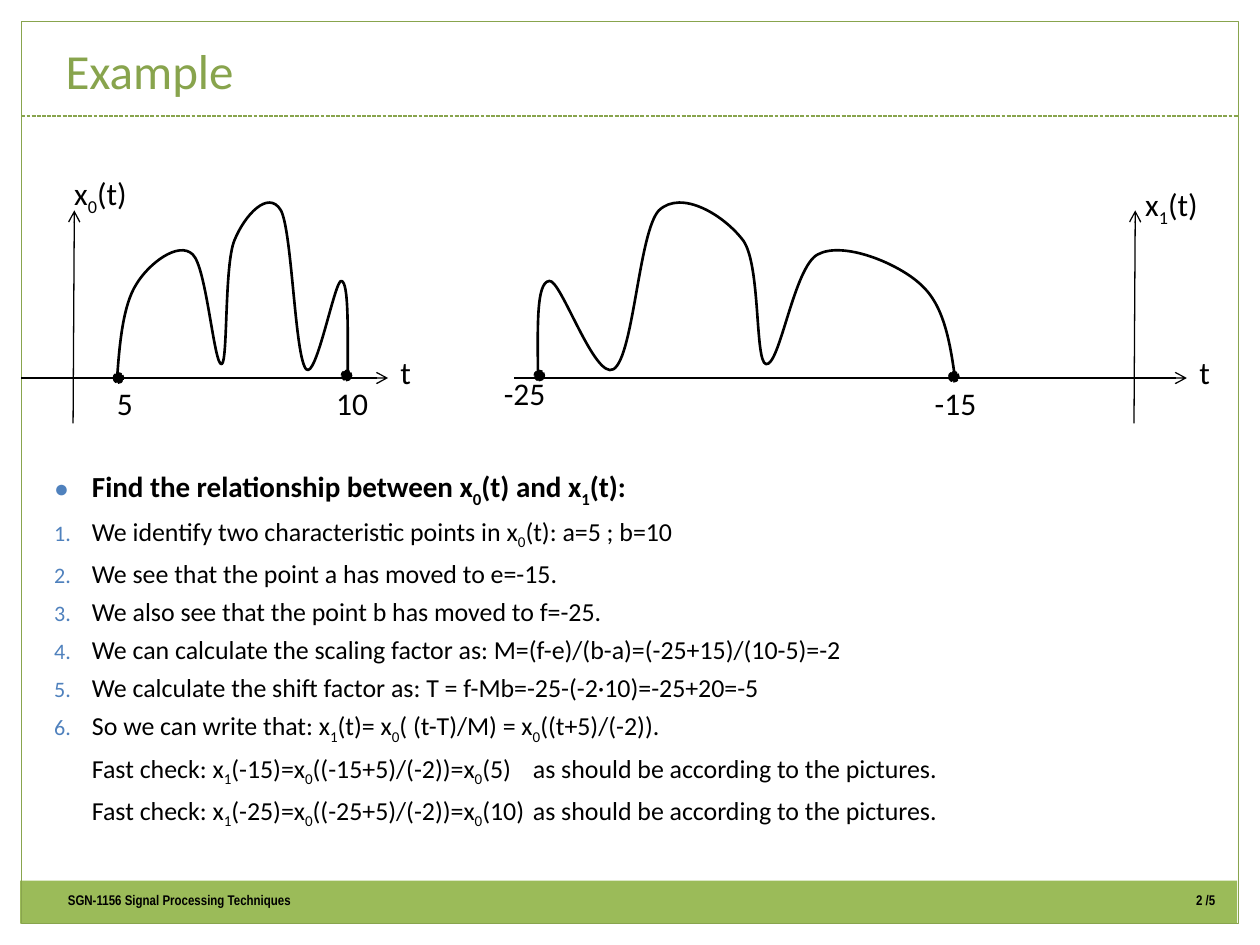
from dataclasses import dataclass

import pptx
import pptx.dml.color
import pptx.enum.dml
import pptx.enum.shapes
import pptx.enum.text
import pptx.oxml.ns
import pptx.util
from lxml import etree

EMU_PER_PX = 9144  # 100 px to the inch
PP_ALIGN = pptx.enum.text.PP_ALIGN
ANCHOR = pptx.enum.text.MSO_ANCHOR
AUTO_SIZE = pptx.enum.text.MSO_AUTO_SIZE
SHAPE = pptx.enum.shapes.MSO_SHAPE
DASH = pptx.enum.dml.MSO_LINE


@dataclass(frozen=True)
class Theme:
    ink: str = "000000"
    green: str = "88A44D"
    band: str = "9BBB59"
    bullet: str = "4F81BD"
    font: str = "Calibri"
    footer_font: str = "Arial Narrow"
    title_size: float = 28
    label_size: float = 18
    lead_size: float = 16.6
    step_size: float = 14.8
    footer_size: float = 8


THEME = Theme()


@dataclass(frozen=True)
class Label:
    text: str
    left: int
    top: int
    width: int
    height: int = 40


@dataclass(frozen=True)
class Plot:
    axis_start: int
    axis_end: int
    origin: int
    curve_start: int
    curve_end: int
    dots: tuple[tuple[int, int], ...]
    labels: tuple[Label, ...]


@dataclass(frozen=True)
class Point:
    text: str
    marker: str = "number"


AXIS_Y = 300
# Start point of the signal, then three control points for each cubic segment.
SIGNAL = [
    (93, 300), (95, 271), (98, 242), (108, 226), (118, 209), (142, 191), (153, 202),
    (164, 212), (170, 291), (176, 289), (181, 287), (178, 211), (186, 191),
    (194, 171), (213, 150), (223, 167), (232, 184), (234, 283), (243, 293),
    (251, 302), (266, 221), (271, 223), (277, 224), (276, 263), (276, 302),
]
PLOTS = [
    Plot(17, 308, 58, 93, 276, ((94, 300), (275, 298)), (
        Label("x_0(t)", 49, 133, 65, 44), Label("5", 83, 300, 34),
        Label("10", 257, 300, 48), Label("t", 308, 275, 29))),
    Plot(408, 942, 900, 758, 427, ((757, 299), (428, 298)), (
        Label("x_1(t)", 899, 142, 65, 44), Label("-15", 732, 300, 56),
        Label("-25", 390, 292, 56), Label("t", 942, 275, 29))),
]
POINTS = [
    Point("Find the relationship between x_0(t) and x_1(t):", "dot"),
    Point("We identify two characteristic points in x_0(t): a=5 ; b=10"),
    Point("We see that the point a has moved to e=-15."),
    Point("We also see that the point b has moved to f=-25."),
    Point("We can calculate the scaling factor as: M=(f-e)/(b-a)=(-25+15)/(10-5)=-2"),
    Point("We calculate the shift factor as: T = f-Mb=-25-(-2·10)=-25+20=-5"),
    Point("So we can write that: x_1(t)= x_0( (t-T)/M) = x_0((t+5)/(-2))."),
    Point("Fast check: x_1(-15)=x_0((-15+5)/(-2))=x_0(5)\tas should be according to the pictures.", ""),
    Point("Fast check: x_1(-25)=x_0((-25+5)/(-2))=x_0(10)\tas should be according to the pictures.", ""),
]


def px(length: float) -> int:
    return round(length * EMU_PER_PX)


def rgb(color: str):
    return pptx.dml.color.RGBColor.from_string(color)


def add_xml(parent, tag: str, **attributes: str):
    return etree.SubElement(parent, pptx.oxml.ns.qn(tag), attributes)


def move(shape, left: int, top: int, width: int, height: int) -> None:
    shape.left, shape.top, shape.width, shape.height = map(px, (left, top, width, height))


def write(paragraph, text: str, size: float, color: str = THEME.ink,
          font: str = THEME.font, bold: bool = False) -> None:
    """Fill a paragraph; the character after each underscore becomes a subscript."""
    paragraph.font.size = pptx.util.Pt(size)
    paragraph.font.name = font
    paragraph.font.bold = bold
    paragraph.font.color.rgb = rgb(color)
    head, *rest = text.split("_")
    paragraph.add_run().text = head
    for piece in rest:
        subscript = paragraph.add_run()
        subscript.text = piece[0]
        subscript.font._element.set("baseline", "-25000")
        paragraph.add_run().text = piece[1:]


def style_line(line, color: str, width: float, dash=None) -> None:
    line.color.rgb = rgb(color)
    line.width = pptx.util.Pt(width)
    if dash is not None:
        line.dash_style = dash


def add_line(slide, start: tuple[int, int], end: tuple[int, int], color: str,
             dash=None, arrow: bool = False) -> None:
    line = slide.shapes.add_connector(
        pptx.enum.shapes.MSO_CONNECTOR.STRAIGHT, *map(px, (*start, *end)))
    style_line(line.line, color, 0.75, dash)
    if arrow:
        add_xml(line.line._get_or_add_ln(), "a:tailEnd", type="arrow")
    add_xml(line._element.spPr, "a:effectLst")


def add_shape(slide, preset, box: tuple[int, int, int, int], fill: str = ""):
    shape = slide.shapes.add_shape(preset, *map(px, box))
    shape.shadow.inherit = False
    if fill:
        shape.fill.solid()
        shape.fill.fore_color.rgb = rgb(fill)
    else:
        shape.fill.background()
    return shape


def add_label(slide, label: Label) -> None:
    box = slide.shapes.add_textbox(*map(px, (label.left, label.top, label.width, label.height)))
    box.text_frame.word_wrap = False
    box.text_frame.auto_size = AUTO_SIZE.SHAPE_TO_FIT_TEXT
    write(box.text_frame.paragraphs[0], label.text, THEME.label_size)


def add_curve(slide, points: list[tuple[float, float]]) -> None:
    """Draw cubic segments through a start point and triples of control points."""
    builder = slide.shapes.build_freeform(*points[0], scale=EMU_PER_PX)
    builder.add_line_segments(points[1:], close=False)
    curve = builder.convert_to_shape()
    curve.shadow.inherit = False
    curve.fill.background()
    style_line(curve.line, THEME.ink, 1.5)
    outline = next(curve._element.iter(pptx.oxml.ns.qn("a:path")))
    steps = outline.findall(pptx.oxml.ns.qn("a:lnTo"))
    for first in range(0, len(steps), 3):
        segment = add_xml(outline, "a:cubicBezTo")
        for step in steps[first:first + 3]:
            segment.append(step[0])
            outline.remove(step)


def add_plot(slide, plot: Plot) -> None:
    add_line(slide, (plot.axis_start, AXIS_Y), (plot.axis_end, AXIS_Y), THEME.ink, arrow=True)
    add_line(slide, (plot.origin, 336), (plot.origin + 1, 167), THEME.ink, arrow=True)
    first, last = SIGNAL[0][0], SIGNAL[-1][0]
    stretch = (plot.curve_end - plot.curve_start) / (last - first)
    add_curve(slide, [(plot.curve_start + (x - first) * stretch, y) for x, y in SIGNAL])
    for x, y in plot.dots:
        dot = add_shape(slide, SHAPE.OVAL, (x - 4, y - 4, 8, 8), THEME.ink)
        style_line(dot.line, THEME.ink, 0.91, DASH.SQUARE_DOT)
    for label in plot.labels:
        add_label(slide, label)


def add_point(paragraph, point: Point, first: bool) -> None:
    properties = paragraph._p.get_or_add_pPr()
    properties.set("marL", str(px(30)))
    properties.set("indent", str(px(-30 if point.marker else 0)))
    paragraph.space_before = pptx.util.Pt(0 if first else 4)
    if point.marker:
        add_xml(add_xml(properties, "a:buClr"), "a:srgbClr", val=THEME.bullet)
        add_xml(properties, "a:buSzPct", val="85000")
        if point.marker == "dot":
            add_xml(properties, "a:buChar", char="●")
        else:
            add_xml(properties, "a:buFont", typeface=THEME.font)
            add_xml(properties, "a:buAutoNum", type="arabicPeriod")
    else:
        add_xml(properties, "a:buNone")
        add_xml(add_xml(properties, "a:tabLst"), "a:tab", pos=str(px(378)), algn="l")
    write(paragraph, point.text, THEME.lead_size if first else THEME.step_size, bold=first)


def add_frame(slide) -> None:
    add_shape(slide, SHAPE.RECTANGLE, (16, 699, 966, 34), THEME.band).line.fill.background()
    border = add_shape(slide, SHAPE.RECTANGLE, (17, 17, 966, 716))
    style_line(border.line, THEME.green, 0.75)
    add_line(slide, (17, 92), (983, 92), THEME.green, DASH.SQUARE_DOT)
    course = slide.shapes.add_textbox(*map(px, (44, 703, 392, 33))).text_frame
    page = slide.shapes.add_textbox(*map(px, (932, 690, 50, 48))).text_frame
    page.margin_left = page.margin_right = px(5)
    page.vertical_anchor = ANCHOR.MIDDLE
    page.paragraphs[0].alignment = PP_ALIGN.CENTER
    for frame, text in ((course, "SGN-1156 Signal Processing Techniques"), (page, "2 /5")):
        frame.word_wrap = True
        write(frame.paragraphs[0], text, THEME.footer_size, font=THEME.footer_font, bold=True)


def main() -> None:
    deck = pptx.Presentation()
    deck.slide_width, deck.slide_height = px(1000), px(750)
    slide = deck.slides.add_slide(deck.slide_layouts[1])
    add_frame(slide)

    title, steps = slide.placeholders
    move(title, 42, 17, 933, 67)
    title.text_frame.auto_size = AUTO_SIZE.NONE
    title.text_frame.vertical_anchor = ANCHOR.BOTTOM
    title.text_frame.paragraphs[0].alignment = PP_ALIGN.LEFT
    write(title.text_frame.paragraphs[0], "Example", THEME.title_size, THEME.green)

    move(steps, 33, 367, 930, 300)
    body = steps.text_frame
    body.auto_size = AUTO_SIZE.NONE
    for index, point in enumerate(POINTS):
        add_point(body.add_paragraph() if index else body.paragraphs[0], point, index == 0)

    for plot in PLOTS:
        add_plot(slide, plot)
    deck.save("out.pptx")


if __name__ == "__main__":
    main()
